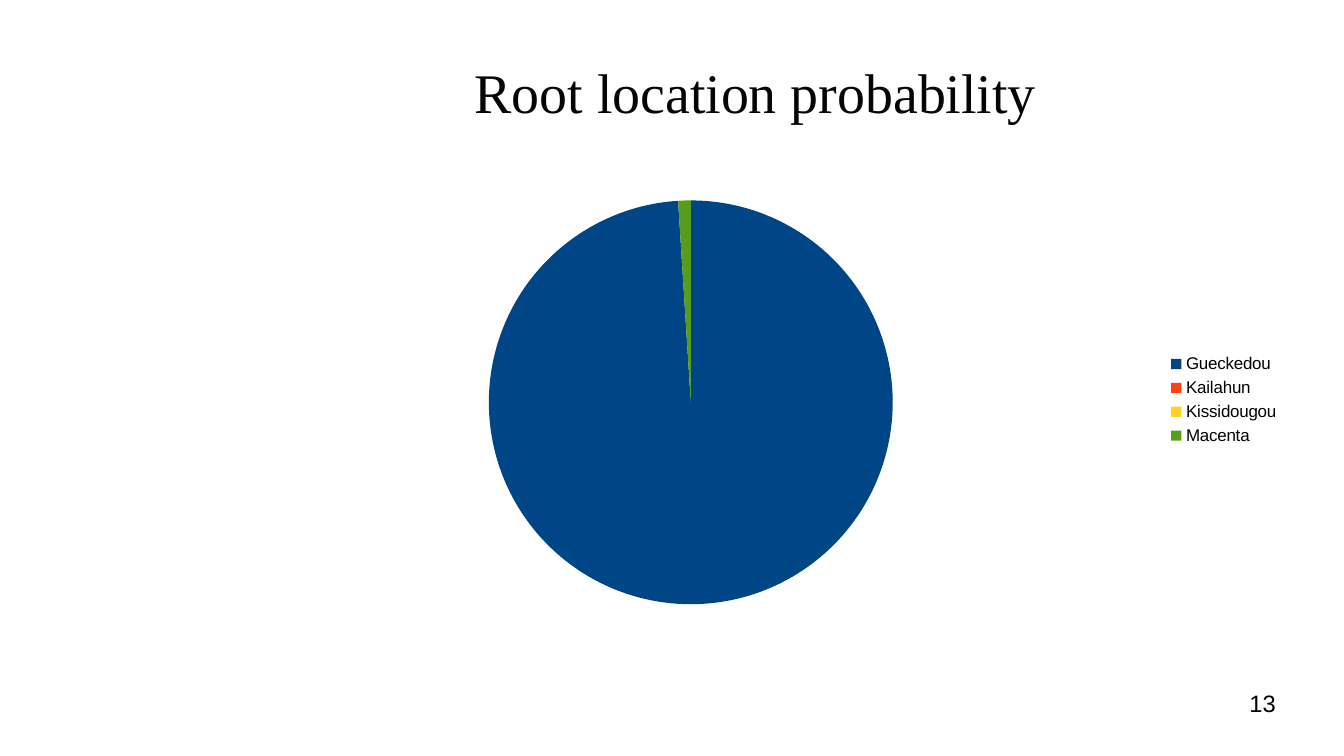
import pptx
import pptx.chart.data
import pptx.dml.color
import pptx.enum.chart
import pptx.enum.text
import pptx.oxml
import pptx.oxml.ns
import pptx.util

WIDE, HIGH = 11.02, 6.2
COL, ROW = 1.77, 0.06
COLORS = {"title": "050505", "text": "000000"}
PLACES = {
    "Gueckedou": (99, "004586"),
    "Kailahun": (0, "FF420E"),
    "Kissidougou": (0, "FFD320"),
    "Macenta": (1, "579D1C"),
}
ALIGN = pptx.enum.text.PP_ALIGN
ANCHOR = pptx.enum.text.MSO_ANCHOR


def rgb(code):
    return pptx.dml.color.RGBColor.from_string(code)


def inches(box):
    return [pptx.util.Inches(side) for side in box]


def style(font, size, color, face):
    font.size = pptx.util.Pt(size)
    font.color.rgb = rgb(color)
    font.name = face


def add_text(slide, box, text, size, color=COLORS["text"], face="Arial",
             align=ALIGN.LEFT, anchor=ANCHOR.TOP):
    frame = slide.shapes.add_textbox(*inches(box)).text_frame
    frame.word_wrap = True
    frame.vertical_anchor = anchor
    frame.margin_left = frame.margin_right = 0
    frame.margin_top = frame.margin_bottom = 0
    line = frame.paragraphs[0]
    line.alignment = align
    run = line.add_run()
    run.text = text
    style(run.font, size, color, face)


def set_layout(part, spot, target="", **shares):
    """Fix a chart part at shares of the chart's size, as child number spot."""
    for old in part.findall(pptx.oxml.ns.qn("c:layout")):
        part.remove(old)
    sides = "".join(f'<c:{name} val="{share}"/>'
                    for name, share in shares.items())
    part.insert(spot, pptx.oxml.parse_xml(
        f'<c:layout {pptx.oxml.ns.nsdecls("c")}><c:manualLayout>{target}'
        '<c:xMode val="edge"/><c:yMode val="edge"/>'
        f'{sides}</c:manualLayout></c:layout>'))


def add_pie(slide, box):
    data = pptx.chart.data.CategoryChartData()
    data.categories = list(PLACES)
    data.add_series("Series 1", [value for value, color in PLACES.values()])
    chart = slide.shapes.add_chart(
        pptx.enum.chart.XL_CHART_TYPE.PIE, *inches(box), data).chart
    chart.has_title = False
    style(chart.font, 10, COLORS["text"], "Arial")
    chart.has_legend = True
    legend = chart.legend
    legend.position = pptx.enum.chart.XL_LEGEND_POSITION.RIGHT
    legend.include_in_layout = False
    style(legend.font, 10, COLORS["text"], "Arial")
    plot = chart.plots[0]
    plot.vary_by_categories = True
    for index, (value, color) in enumerate(PLACES.values()):
        form = plot.series[0].points[index].format
        form.fill.solid()
        form.fill.fore_color.rgb = rgb(color)
        form.line.fill.background()
    set_layout(plot._element.getparent(), 0,
               '<c:layoutTarget val="inner"/>', x=0.25, y=0.04, w=0.38, h=0.92)
    set_layout(legend._element, 1, x=0.88, y=0.38)


def add_page(slide, box):
    left, top, width, height = box

    def cell(col, row, cols, rows):
        return left + col * COL, top + row * ROW, cols * COL, rows * ROW

    add_text(slide, cell(1, 4, 5, 17), "Root location probability", 33,
             color=COLORS["title"], face="Times New Roman",
             align=ALIGN.CENTER, anchor=ANCHOR.MIDDLE)
    add_pie(slide, cell(1, 25, 5, 60))
    add_text(slide, cell(4.46, 94.2, 1.45, 7), "13", 14, align=ALIGN.RIGHT)


def main():
    deck = pptx.Presentation()
    deck.slide_width, deck.slide_height = inches((WIDE, HIGH))
    slide = deck.slides.add_slide(deck.slide_layouts[6])
    add_page(slide, (0, 0, WIDE, HIGH))
    deck.save("out.pptx")


if __name__ == "__main__":
    main()
